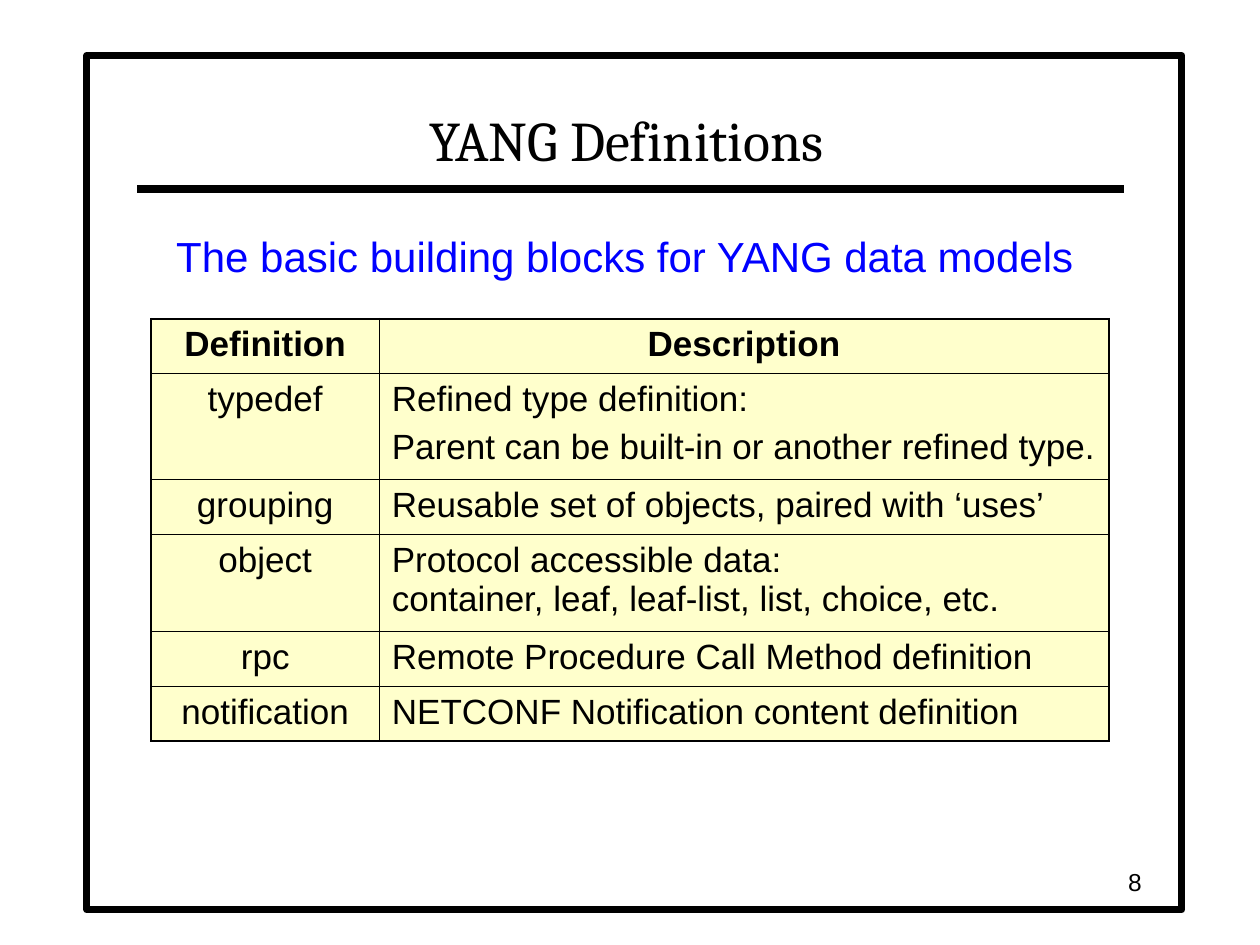
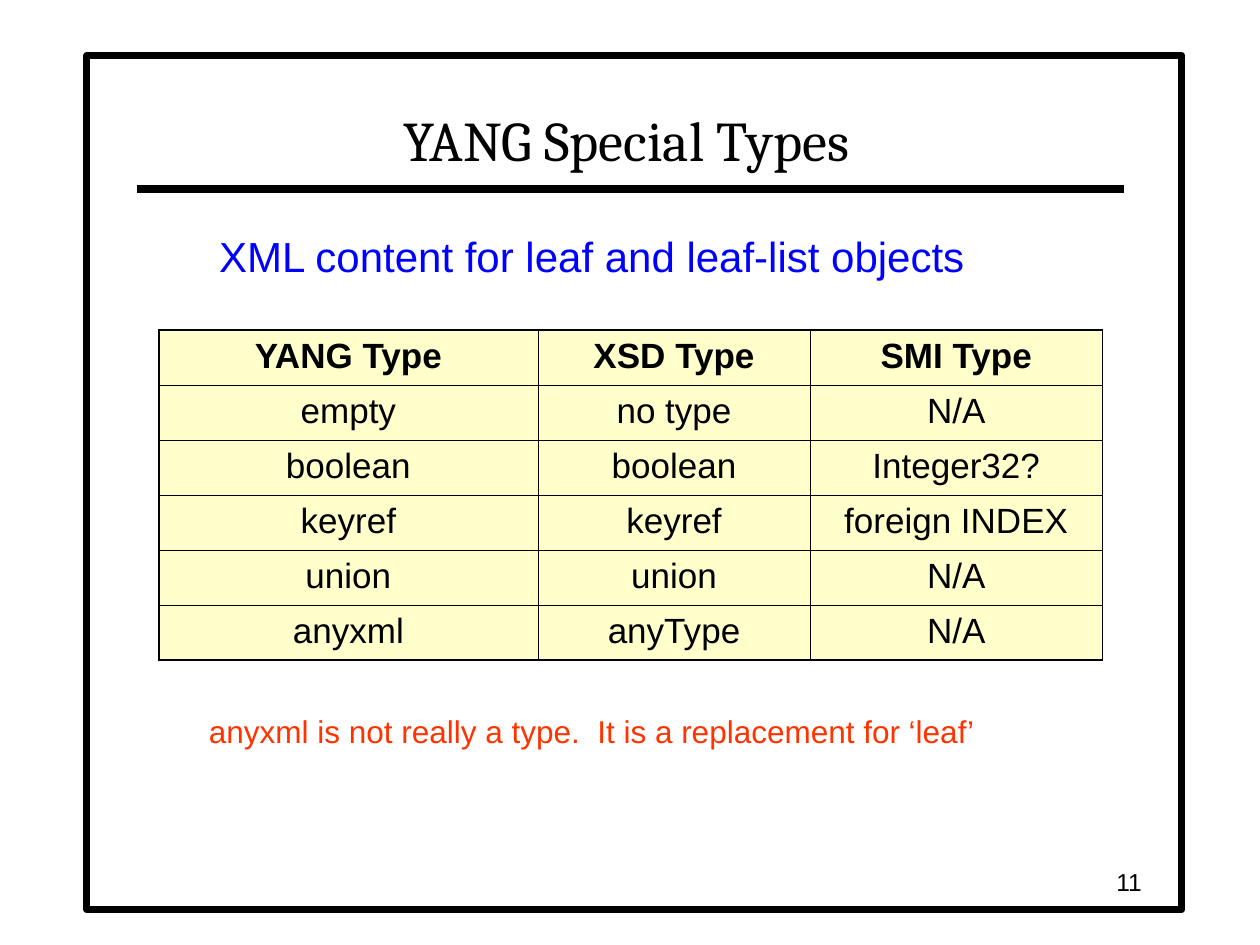
from lxml.etree import SubElement
from pptx import Presentation
from pptx.dml.color import RGBColor
from pptx.enum.shapes import MSO_CONNECTOR, MSO_SHAPE
from pptx.enum.text import MSO_ANCHOR, MSO_AUTO_SIZE, PP_ALIGN
from pptx.oxml.ns import qn
from pptx.util import Inches, Pt

BLACK = RGBColor(0x00, 0x00, 0x00)
WHITE = RGBColor(0xFF, 0xFF, 0xFF)
BLUE = RGBColor(0x00, 0x00, 0xFF)
RED = RGBColor(0xFF, 0x33, 0x00)
CREAM = RGBColor(0xFF, 0xFF, 0xCC)

COLUMNS, ROWS = 100, 75
LINE_ROW = 4.37
OUTER, INNER = 1.08, 0.45


class Deck:
    title_font = "Cambria"
    body_font = "Arial"

    def __init__(self):
        self.prs = Presentation()
        self.prs.slide_width = Inches(10)
        self.prs.slide_height = Inches(7.5)
        self.s = None

    def x(self, columns):
        return round(self.prs.slide_width * columns / COLUMNS)

    def y(self, rows):
        return round(self.prs.slide_height * rows / ROWS)

    def box(self, left, top, width, height):
        return self.x(left), self.y(top), self.x(width), self.y(height)

    def style(self, p, size, color=BLACK, font=body_font, bold=False, align=PP_ALIGN.LEFT):
        p.alignment = align
        p.font.size = Pt(size)
        p.font.name = font
        p.font.bold = bold
        p.font.color.rgb = color

    def slide(self, title, number):
        self.s = self.prs.slides.add_slide(self.prs.slide_layouts[5])
        self.frame()
        self.title(title)
        self.rule()
        self.text(str(number), (70.8, 68.3, 20.8, 3.3), 14,
                  align=PP_ALIGN.RIGHT, anchor=MSO_ANCHOR.MIDDLE)

    def frame(self):
        sp = self.s.shapes.add_shape(MSO_SHAPE.RECTANGLE, *self.box(6.9, 4.4, 86.9, 67.8))
        sp.shadow.inherit = False
        sp.fill.solid()
        sp.fill.fore_color.rgb = WHITE
        sp.line.color.rgb = BLACK
        sp.line.width = Pt(4)
        self.s.shapes.title.element.addprevious(sp.element)

    def title(self, text):
        sp = self.s.shapes.title
        sp.left, sp.top, sp.width, sp.height = self.box(10.8, 5, 77.9, 9.2)
        tf = sp.text_frame
        tf.text = text
        tf.auto_size = MSO_AUTO_SIZE.NONE
        tf.vertical_anchor = MSO_ANCHOR.BOTTOM
        self.style(tf.paragraphs[0], 32, font=self.title_font, align=PP_ALIGN.CENTER)

    def rule(self):
        line = self.s.shapes.add_connector(
            MSO_CONNECTOR.STRAIGHT, self.x(10.9), self.y(15), self.x(89.2), self.y(15))
        line.line.color.rgb = BLACK
        line.line.width = Pt(4.5)
        SubElement(line.element.spPr, qn("a:effectLst"))

    def text(self, text, place, size, color=BLACK, align=PP_ALIGN.LEFT, anchor=MSO_ANCHOR.TOP):
        tf = self.s.shapes.add_textbox(*self.box(*place)).text_frame
        tf.word_wrap = True
        tf.vertical_anchor = anchor
        tf.text = text
        self.style(tf.paragraphs[0], size, color, align=align)

    def subtitle(self, text, left, width):
        self.text(text, (left, 17.8, width, 5), 24, BLUE)

    def table(self, left, top, widths, records, heights=None, left_columns=()):
        heights = heights or [LINE_ROW] * len(records)
        place = self.box(left, top, sum(widths), sum(heights))
        table = self.s.shapes.add_table(len(records), len(widths), *place).table
        for column, width in zip(table.columns, widths):
            column.width = self.x(width)
        for row, height in zip(table.rows, heights):
            row.height = self.y(height)
        last_row, last_column = len(records) - 1, len(widths) - 1
        for i, record in enumerate(records):
            for j, content in enumerate(record):
                edges = {"L": j == 0, "R": j == last_column, "T": i == 0, "B": i == last_row}
                align = PP_ALIGN.LEFT if i and j in left_columns else PP_ALIGN.CENTER
                self.cell(table.cell(i, j), content, edges, i == 0, align)

    def cell(self, cell, content, edges, bold, align):
        tcPr = cell._tc.get_or_add_tcPr()
        for side, outer in edges.items():
            ln = SubElement(tcPr, qn(f"a:ln{side}"), w=str(Pt(OUTER if outer else INNER)))
            SubElement(SubElement(ln, qn("a:solidFill")), qn("a:srgbClr"), val=str(BLACK))
        cell.fill.solid()
        cell.fill.fore_color.rgb = CREAM
        tf = cell.text_frame
        lines = [content] if isinstance(content, str) else content
        for k, line in enumerate(lines):
            p = tf.add_paragraph() if k else tf.paragraphs[0]
            p.text = line
            if k:
                p.space_before = Pt(5)
            self.style(p, 20, bold=bold, align=align)


def main():
    deck = Deck()

    deck.slide("YANG Definitions", 8)
    deck.table(12, 25.3, [18.1, 57.9], [
        ("Definition", "Description"),
        ("typedef", ["Refined type definition:",
                     "Parent can be built-in or another refined type."]),
        ("grouping", "Reusable set of objects, paired with ‘uses’"),
        ("object", "Protocol accessible data:\ncontainer, leaf, leaf-list, list, choice, etc."),
        ("rpc", "Remote Procedure Call Method definition"),
        ("notification", "NETCONF Notification content definition"),
    ], heights=[LINE_ROW, 8.33, LINE_ROW, 7.7, LINE_ROW, LINE_ROW], left_columns=(1,))
    deck.subtitle("The basic building blocks for YANG data models", 13, 74)

    deck.slide("YANG Special Types", 11)
    deck.table(12.6, 26.2, [30.1, 21.6, 23.2], [
        ("YANG Type", "XSD Type", "SMI Type"),
        ("empty", "no type", "N/A"),
        ("boolean", "boolean", "Integer32?"),
        ("keyref", "keyref", "foreign INDEX"),
        ("union", "union", "N/A"),
        ("anyxml", "anyType", "N/A"),
    ])
    deck.subtitle("XML content for leaf and leaf-list objects", 16.4, 61.8)
    deck.text("anyxml is not really a type.  It is a replacement for ‘leaf’",
              (15.6, 56, 68.9, 4), 18, RED)

    deck.prs.save("out.pptx")


if __name__ == "__main__":
    main()
